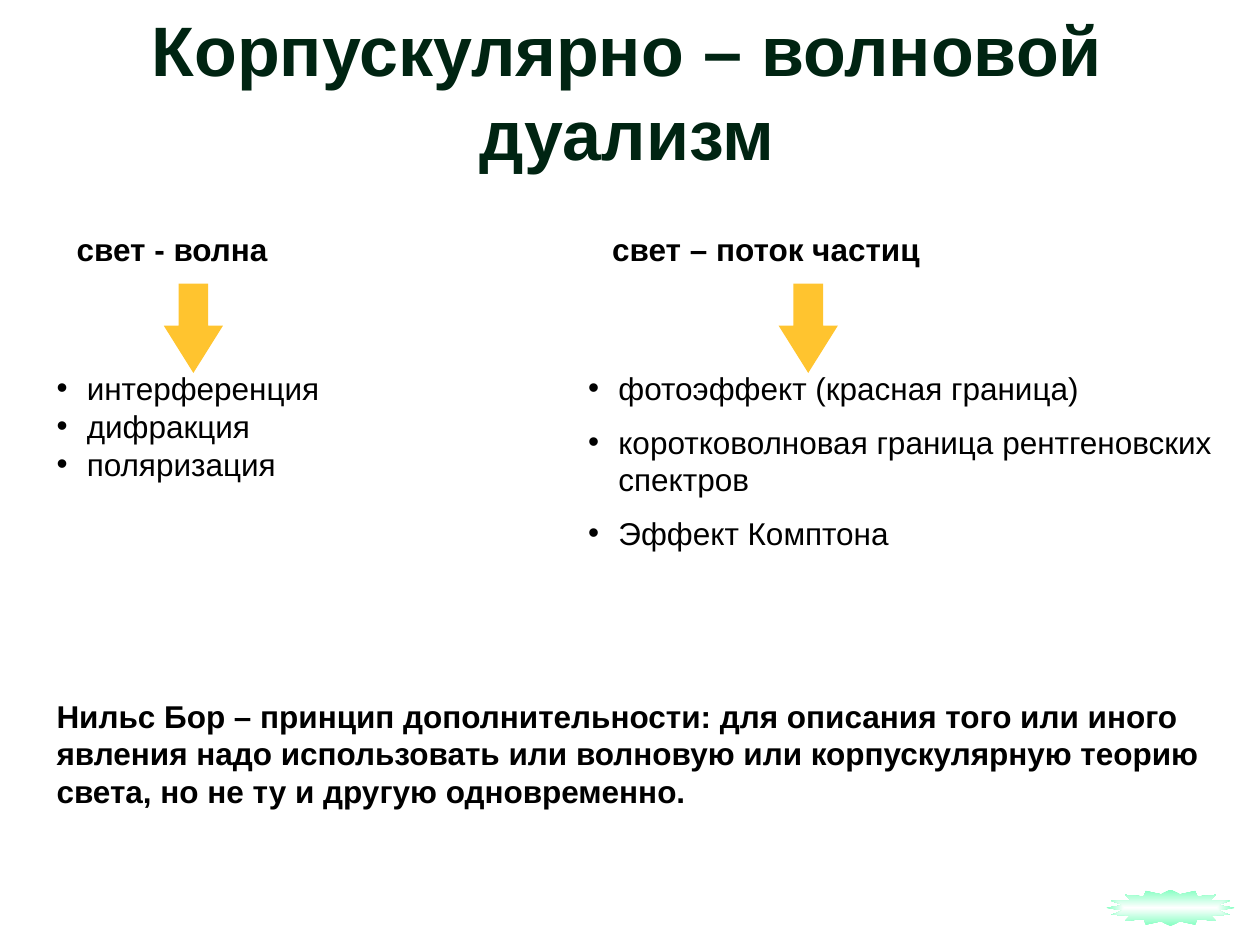
from dataclasses import dataclass

from lxml.etree import SubElement
from pptx import Presentation
from pptx.dml.color import RGBColor
from pptx.enum.shapes import MSO_SHAPE as Preset
from pptx.enum.text import MSO_ANCHOR as Anchor, PP_ALIGN as Align
from pptx.oxml.ns import qn
from pptx.util import Inches, Pt

BLACK, DARK_GREEN, AMBER = "000000", "002412", "FFC42F"
WHITE, MINT = "FFFFFF", "85FFC2"
BULLET_INDENT = 0.24
HEADING_TOP, ARROW_TOP, LIST_TOP = 1.78, 2.25, 2.88


@dataclass
class TextBlock:
    place: tuple[float, float, float, float]
    lines: list[str]
    size: float = 18
    color: str = BLACK
    bold: bool = False
    wrap: bool = True
    bullets: bool = False
    space_before: float = 0
    align: Align = Align.LEFT


@dataclass
class Column:
    heading: str
    heading_left: float
    heading_width: float
    arrow_left: float
    list_left: float
    list_width: float
    list_height: float
    effects: list[str]
    wrap: bool
    space_before: float


def rgb(value: str) -> RGBColor:
    return RGBColor.from_string(value)


def add_bullet(para) -> None:
    properties = para._p.get_or_add_pPr()
    properties.set("marL", str(Inches(BULLET_INDENT)))
    properties.set("indent", str(-Inches(BULLET_INDENT)))
    SubElement(properties, qn("a:buFont")).set("typeface", "Arial")
    SubElement(properties, qn("a:buChar")).set("char", "•")


def add_text(page, block: TextBlock) -> None:
    box = page.shapes.add_textbox(*map(Inches, block.place))
    frame = box.text_frame
    frame.word_wrap = block.wrap
    frame.vertical_anchor = Anchor.TOP
    font_format = {"name": "Arial", "size": Pt(block.size), "bold": block.bold}
    for index, line in enumerate(block.lines):
        para = frame.add_paragraph() if index else frame.paragraphs[0]
        para.alignment = block.align
        para.space_before = Pt(block.space_before)
        if block.bullets:
            add_bullet(para)
        span = para.add_run()
        span.text = line
        for name, value in font_format.items():
            setattr(span.font, name, value)
        span.font.color.rgb = rgb(block.color)


def add_preset(page, preset: Preset, place: tuple, adjustment: list[float]):
    shape = page.shapes.add_shape(preset, *map(Inches, place))
    shape.shadow.inherit = False
    shape.line.fill.background()
    for index, value in enumerate(adjustment):
        shape.adjustments[index] = value
    return shape


def add_column(page, column: Column) -> None:
    add_text(page, TextBlock(
        (column.heading_left, HEADING_TOP, column.heading_width, 0.5),
        [column.heading], bold=True, wrap=False))
    arrow = add_preset(page, Preset.DOWN_ARROW,
                       (column.arrow_left, ARROW_TOP, 0.47, 0.71), [0.5, 0.798])
    arrow.fill.solid()
    arrow.fill.fore_color.rgb = rgb(AMBER)
    add_text(page, TextBlock(
        (column.list_left, LIST_TOP, column.list_width, column.list_height),
        column.effects, wrap=column.wrap, bullets=True,
        space_before=column.space_before))


def add_star(page) -> None:
    star = add_preset(page, Preset.STAR_16_POINT, (8.78, 7.06, 1.02, 0.29), [0.375])
    star.fill.gradient()
    for stop, position, color in zip(star.fill.gradient_stops, (0, 1), (WHITE, MINT)):
        stop.position = position
        stop.color.rgb = rgb(color)
    gradient = star._element.spPr.find(qn("a:gradFill"))
    gradient.remove(gradient.find(qn("a:lin")))
    shading = SubElement(gradient, qn("a:path"))
    shading.set("path", "shape")
    center = SubElement(shading, qn("a:fillToRect"))
    for side in "ltrb":
        center.set(side, "50000")


def main() -> None:
    deck = Presentation()
    deck.slide_width, deck.slide_height = Inches(10), Inches(7.5)
    page = deck.slides.add_slide(deck.slide_layouts[6])
    add_text(page, TextBlock(
        (0.9, 0, 8.15, 1.43), ["Корпускулярно – волновой дуализм"],
        size=40, color=DARK_GREEN, bold=True, align=Align.CENTER))
    columns = [
        Column("свет - волна", 0.51, 2.23, 1.3, 0.35, 2.78, 1.3,
               ["интерференция", "дифракция", "поляризация"], False, 0),
        Column("свет – поток частиц", 4.76, 3.43, 6.18, 4.57, 5.43, 2.1,
               ["фотоэффект (красная граница)",
                "коротковолновая граница рентгеновских спектров",
                "Эффект Комптона"], True, 9),
    ]
    for column in columns:
        add_column(page, column)
    add_text(page, TextBlock(
        (0.35, 5.48, 9.45, 1.7),
        ["Нильс Бор – принцип дополнительности: для описания того или иного "
         "явления надо использовать или волновую или корпускулярную теорию "
         "света, но не ту и другую одновременно."], bold=True))
    add_star(page)
    deck.save("out.pptx")


if __name__ == "__main__":
    main()
